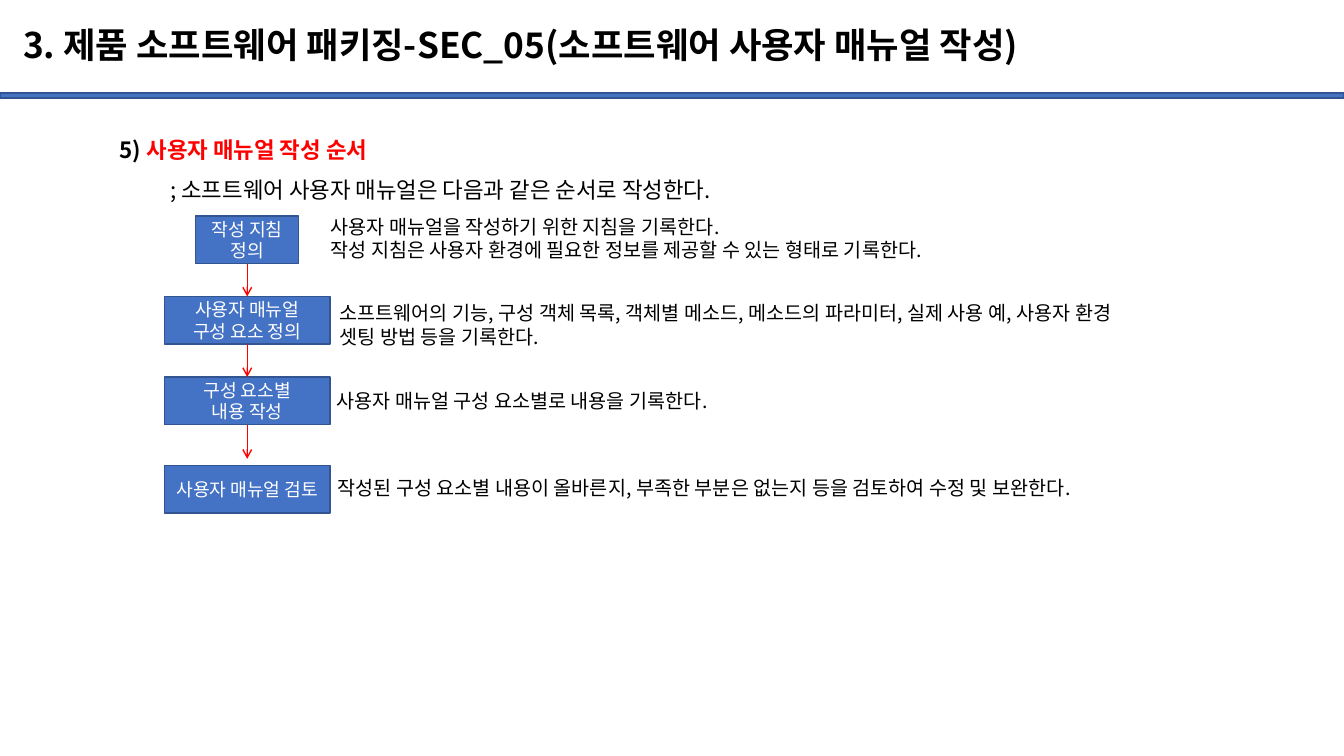
from dataclasses import dataclass

from lxml.etree import SubElement
from pptx import Presentation
from pptx.dml.color import RGBColor
from pptx.enum.shapes import MSO_CONNECTOR as ConnectorType, MSO_SHAPE as ShapeType
from pptx.enum.text import MSO_ANCHOR as Anchor, MSO_AUTO_SIZE as AutoSize, PP_ALIGN as Align
from pptx.oxml.ns import qn
from pptx.shapes.autoshape import Shape
from pptx.slide import Slide
from pptx.text.text import _Run as Run
from pptx.util import Cm, Pt


@dataclass(frozen=True)
class Theme:
    font: str = "Noto Sans CJK KR"
    black: RGBColor = RGBColor(0x00, 0x00, 0x00)
    white: RGBColor = RGBColor(0xFF, 0xFF, 0xFF)
    red: RGBColor = RGBColor(0xFF, 0x00, 0x00)
    blue: RGBColor = RGBColor(0x44, 0x72, 0xC4)
    outline: RGBColor = RGBColor(0x32, 0x54, 0x91)
    title_size: float = 25.2
    heading_size: float = 16
    note_size: float = 14
    box_size: float = 13
    line_width: float = 1


@dataclass(frozen=True)
class Area:
    left: float
    top: float
    width: float
    height: float

    def lengths(self) -> tuple[Cm, Cm, Cm, Cm]:
        return Cm(self.left), Cm(self.top), Cm(self.width), Cm(self.height)


@dataclass(frozen=True)
class Step:
    label: str
    top: float
    width: float
    note: str
    note_area: Area


THEME = Theme()
SLIDE_WIDTH, SLIDE_HEIGHT = 33.87, 19.05
FLOW_CENTER = 6.23
BOX_HEIGHT = 1.2
LAST_ARROW_END = 11.56

STEPS = [
    Step("작성 지침 정의", 5.44, 2.6,
         "사용자 매뉴얼을 작성하기 위한 지침을 기록한다.\n"
         "작성 지침은 사용자 환경에 필요한 정보를 제공할 수 있는 형태로 기록한다.",
         Area(8.08, 5.28, 18.21, 1.45)),
    Step("사용자 매뉴얼\n구성 요소 정의", 7.47, 4.18,
         "소프트웨어의 기능, 구성 객체 목록, 객체별 메소드, 메소드의 파라미터, "
         "실제 사용 예, 사용자 환경 셋팅 방법 등을 기록한다.",
         Area(8.31, 7.47, 20.62, 1.45)),
    Step("구성 요소별\n내용 작성", 9.5, 4.18,
         "사용자 매뉴얼 구성 요소별로 내용을 기록한다.",
         Area(8.23, 9.68, 11.48, 0.86)),
    Step("사용자 매뉴얼 검토", 11.73, 4.18,
         "작성된 구성 요소별 내용이 올바른지, 부족한 부분은 없는지 등을 검토하여 수정 및 보완한다.",
         Area(8.26, 11.86, 22.89, 0.86)),
]


def format_run(run: Run, size: float, color: RGBColor, bold: bool = False) -> None:
    run.font.name = THEME.font
    run.font.size = Pt(size)
    run.font.bold = bold
    run.font.color.rgb = color
    SubElement(run.font._element, qn("a:ea"), typeface=THEME.font)


def format_text(shape: Shape, size: float, color: RGBColor, align: Align, bold: bool = False) -> None:
    for paragraph in shape.text_frame.paragraphs:
        paragraph.alignment = align
        for run in paragraph.runs:
            format_run(run, size, color, bold)


def add_block(slide: Slide, area: Area) -> Shape:
    shape = slide.shapes.add_shape(ShapeType.RECTANGLE, *area.lengths())
    shape.shadow.inherit = False
    shape.fill.solid()
    shape.fill.fore_color.rgb = THEME.blue
    shape.line.color.rgb = THEME.outline
    shape.line.width = Pt(THEME.line_width)
    return shape


def add_title(slide: Slide) -> None:
    title = slide.shapes.title
    title.left, title.top, title.width, title.height = Area(0.33, 0.25, 29.21, 1.88).lengths()
    title.text_frame.text = "3. 제품 소프트웨어 패키징-SEC_05(소프트웨어 사용자 매뉴얼 작성)"
    title.text_frame.auto_size = AutoSize.NONE
    title.text_frame.vertical_anchor = Anchor.MIDDLE
    title.text_frame.paragraphs[0].line_spacing = 0.9
    format_text(title, THEME.title_size, THEME.black, Align.LEFT, bold=True)


def add_heading(slide: Slide) -> None:
    frame = slide.shapes.add_textbox(*Area(2.77, 2.97, 29.77, 2.3).lengths()).text_frame
    frame.word_wrap = True
    heading, summary = frame.paragraphs[0], frame.add_paragraph()
    heading.line_spacing = summary.line_spacing = 1.5
    for text, color in (("5) ", THEME.black), ("사용자 매뉴얼 작성 순서", THEME.red)):
        run = heading.add_run()
        run.text = text
        format_run(run, THEME.heading_size, color, bold=True)
    summary.text = "; 소프트웨어 사용자 매뉴얼은 다음과 같은 순서로 작성한다."
    summary._p.get_or_add_pPr().set("marL", str(Cm(1.27)))
    format_run(summary.runs[0], THEME.heading_size, THEME.black)


def add_step(slide: Slide, step: Step) -> Shape:
    box = add_block(slide, Area(FLOW_CENTER - step.width / 2, step.top, step.width, BOX_HEIGHT))
    box.text_frame.text = step.label
    box.text_frame.word_wrap = True
    box.text_frame.vertical_anchor = Anchor.MIDDLE
    format_text(box, THEME.box_size, THEME.white, Align.CENTER)
    note = slide.shapes.add_textbox(*step.note_area.lengths())
    note.text_frame.text = step.note
    note.text_frame.word_wrap = True
    format_text(note, THEME.note_size, THEME.black, Align.LEFT)
    return box


def add_arrow(slide: Slide, source: Shape, target: Shape, joined: bool) -> None:
    center = Cm(FLOW_CENTER)
    arrow = slide.shapes.add_connector(
        ConnectorType.STRAIGHT, center, source.top + source.height, center, Cm(LAST_ARROW_END))
    arrow.begin_connect(source, 2)
    if joined:
        arrow.end_connect(target, 0)
    arrow.line.color.rgb = THEME.red
    arrow.line.width = Pt(THEME.line_width)
    SubElement(arrow.line._get_or_add_ln(), qn("a:tailEnd"), type="arrow")
    SubElement(arrow._element.spPr, qn("a:effectLst"))


def main() -> None:
    presentation = Presentation()
    presentation.slide_width = Cm(SLIDE_WIDTH)
    presentation.slide_height = Cm(SLIDE_HEIGHT)
    slide = presentation.slides.add_slide(presentation.slide_layouts.get_by_name("Title Only"))
    add_block(slide, Area(0, 2.34, SLIDE_WIDTH, 0.13))
    add_title(slide)
    add_heading(slide)
    boxes = [add_step(slide, step) for step in STEPS]
    for source, target in zip(boxes, boxes[1:]):
        add_arrow(slide, source, target, joined=target is not boxes[-1])
    presentation.save("out.pptx")


if __name__ == "__main__":
    main()
